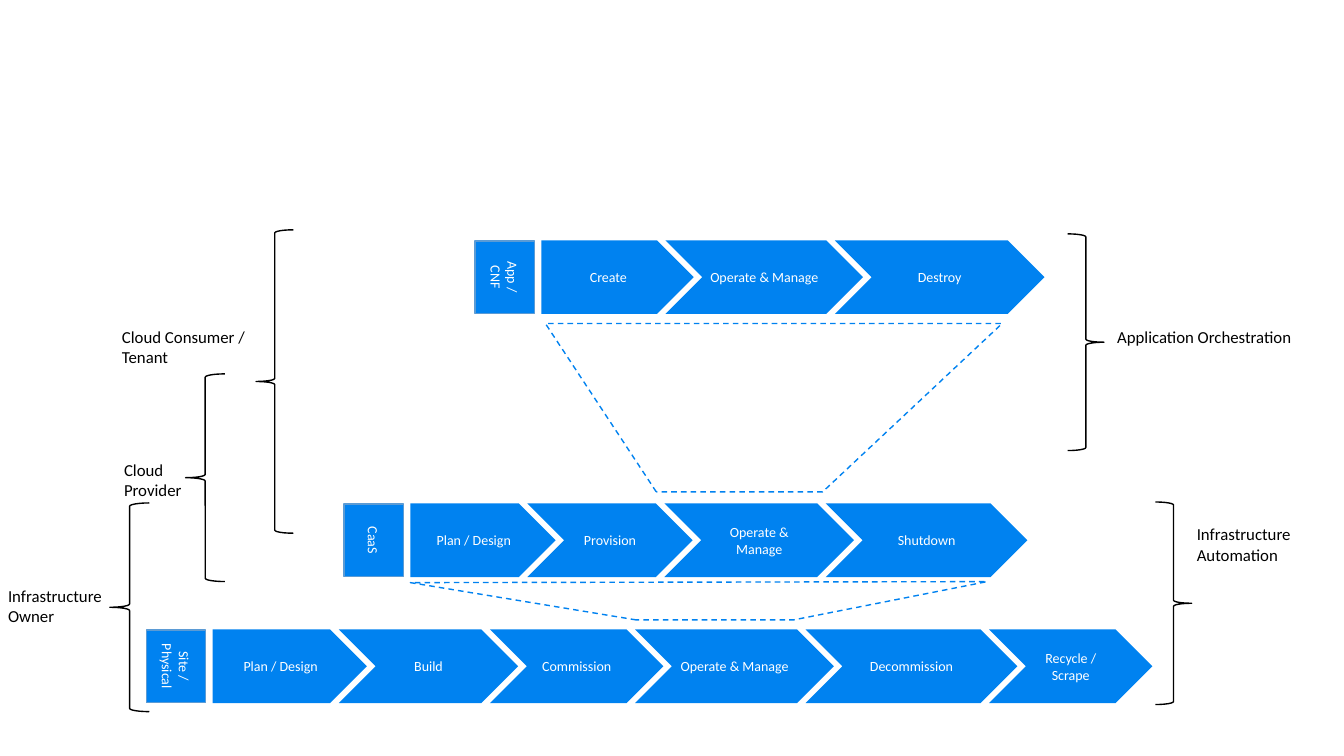
from pptx import Presentation
from pptx import util as u
from pptx.dml.color import RGBColor
from pptx.enum import dml, shapes, text

BLUE = RGBColor(0x00, 0x82, 0xF0)
EDGE = RGBColor(0x5B, 0x9B, 0xD5)
BLACK = RGBColor(0, 0, 0)
WHITE = RGBColor(0xFF, 0xFF, 0xFF)

# Grid: each column and row is a tenth of an inch
CELL = u.Inches(0.1)
STEP_HEIGHT = 7.3
STEP_OVERLAP = 2.8  # how far a step's tip reaches into the next step
TAG_LENGTH, TAG_DEPTH = 7.2, 5.9
TAG_OFFSET = 3.65   # from the tag's centre to the first step


def grid(*cells):
    return [round(cell * CELL) for cell in cells]


class LifecycleSlide:
    font = "Calibri"

    def __init__(self, page):
        self.page = page

    def add_lines(self, box, lines, size, color, align, before=0, side=0.08):
        frame = box.text_frame
        frame.word_wrap = True
        frame.margin_left = frame.margin_right = u.Inches(side)
        frame.margin_top = frame.margin_bottom = u.Inches(0.04)
        for index, line in enumerate(lines):
            para = frame.paragraphs[0] if index == 0 else frame.add_paragraph()
            para.alignment = align
            para.space_before = u.Pt(before)
            span = para.add_run()
            span.text = line
            span.font.name = self.font
            span.font.size = u.Pt(size)
            span.font.color.rgb = color

    def style(self, box, fill=None, line=None):
        box.shadow.inherit = False
        if fill is None:
            box.fill.background()
        else:
            box.fill.solid()
            box.fill.fore_color.rgb = fill
        if line is None:
            box.line.fill.background()
        else:
            box.line.color.rgb = line
            box.line.width = u.Pt(1)

    def block(self, kind, caption, area, line=None, side=0.07):
        box = self.page.shapes.add_shape(kind, *grid(*area))
        self.style(box, BLUE, line)
        box.text_frame.vertical_anchor = text.MSO_ANCHOR.MIDDLE
        self.add_lines(box, [caption], 10, WHITE, text.PP_ALIGN.CENTER, 3, side)
        return box

    def lifecycle(self, tag, top, starts, end, captions):
        """A turned name tag followed by a chain of interlocking steps."""
        middle = top + STEP_HEIGHT / 2
        area = (starts[0] - TAG_OFFSET - TAG_LENGTH / 2, middle - TAG_DEPTH / 2,
                TAG_LENGTH, TAG_DEPTH)
        self.block(shapes.MSO_SHAPE.RECTANGLE, tag, area, EDGE, 0.08).rotation = 90
        ends = [start + STEP_OVERLAP for start in starts[1:]] + [end]
        kind = shapes.MSO_SHAPE.PENTAGON
        for caption, left, right in zip(captions, starts, ends):
            self.block(kind, caption, (left, top, right - left, STEP_HEIGHT))
            kind = shapes.MSO_SHAPE.CHEVRON

    def funnel(self, *corners):
        """A dashed outline that ties one step to a whole lifecycle."""
        first, *others = [tuple(grid(*corner)) for corner in corners]
        builder = self.page.shapes.build_freeform(*first)
        builder.add_line_segments(others, close=True)
        outline = builder.convert_to_shape()
        self.style(outline, line=BLUE)
        outline.line.dash_style = dml.MSO_LINE.DASH

    def brace(self, kind, *area):
        self.style(self.page.shapes.add_shape(kind, *grid(*area)), line=BLACK)

    def label(self, lines, *area):
        box = self.page.shapes.add_textbox(*grid(*area))
        self.add_lines(box, lines, 12, BLACK, text.PP_ALIGN.LEFT)


deck = Presentation()
deck.slide_width, deck.slide_height = u.Inches(13.33), u.Inches(7.5)
slide = LifecycleSlide(deck.slides.add_slide(deck.slide_layouts[6]))

# Links between the levels
slide.funnel((65.1, 48.8), (54.1, 32.1), (99.4, 32.1), (81.6, 48.8))
slide.funnel((63.1, 61.5), (40.7, 57.8), (97.9, 57.7), (78.7, 61.5))

# Lifecycles, from the site up to the application
slide.lifecycle("Site / Physical", 62.45, [21.1, 33.6, 48.6, 63, 79.9, 98.1], 114.3,
                ["Plan / Design", "Build", "Commission", "Operate & Manage",
                 "Decommission", "Recycle / Scrape"])
slide.lifecycle("CaaS", 49.95, [40.7, 52.3, 65.9, 81.9], 101.9,
                ["Plan / Design", "Provision", "Operate & Manage", "Shutdown"])
slide.lifecycle("App / CNF", 23.85, [53.7, 66, 82.8], 103.6,
                ["Create", "Operate & Manage", "Destroy"])

# Roles on the left
LEFT = shapes.MSO_SHAPE.LEFT_BRACE
slide.brace(LEFT, 25.4, 22.8, 3.7, 30.1)
slide.brace(LEFT, 18.4, 37.1, 3.9, 20.6)
slide.brace(LEFT, 10.9, 49.9, 3.9, 20.7)
slide.label(["Cloud Consumer /", "Tenant"], 11.3, 32, 20.3, 4.5)
slide.label(["Cloud", "Provider"], 11.5, 45.2, 12.5, 4.5)
slide.label(["Infrastructure", "Owner"], 0, 57.7, 17, 4.5)

# Automation scope on the right
RIGHT = shapes.MSO_SHAPE.RIGHT_BRACE
slide.brace(RIGHT, 105.9, 23.2, 3.6, 21.5)
slide.brace(RIGHT, 114.6, 49.8, 3.6, 20.1)
slide.label(["Application Orchestration"], 110, 32, 20, 3.8)
slide.label(["Infrastructure", "Automation"], 117.9, 51.6, 15, 4.5)

deck.save("out.pptx")
